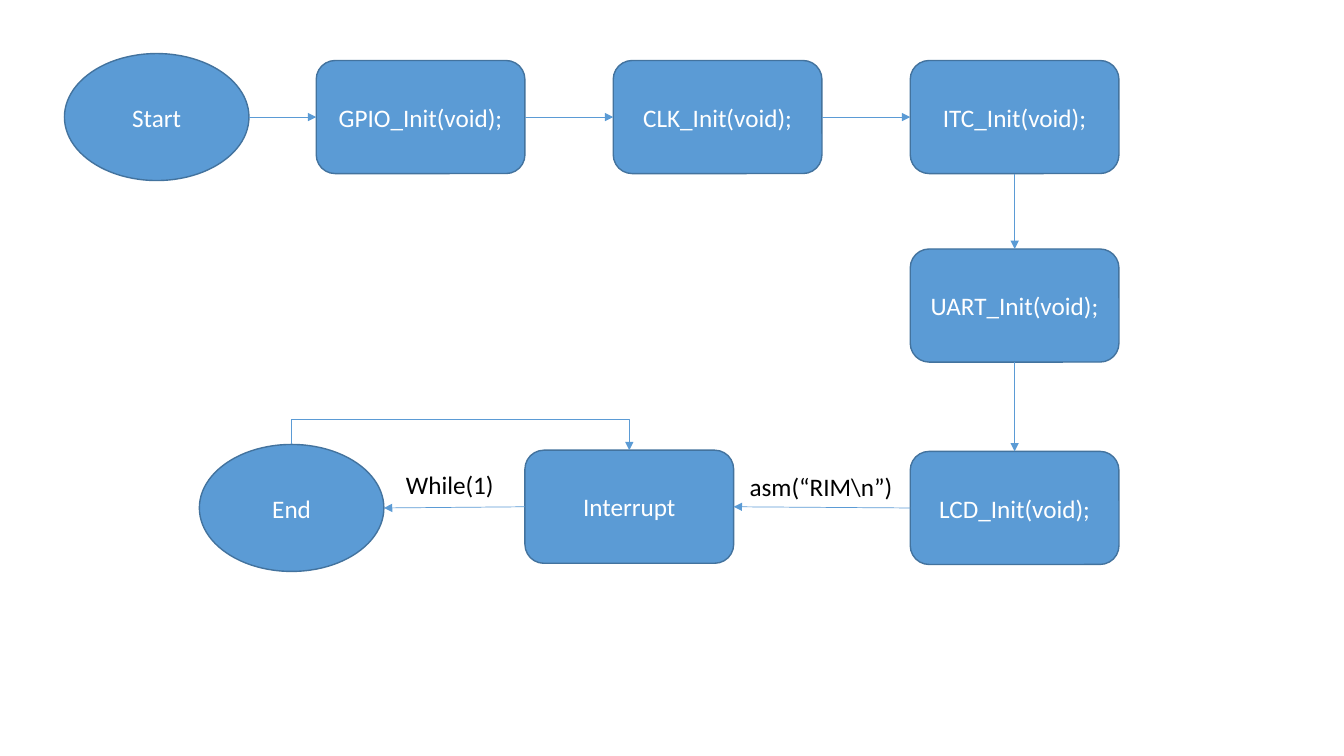
"""Build a slide with the flowchart of a microcontroller start-up sequence."""
from lxml.etree import SubElement
from pptx import Presentation
from pptx.dml.color import RGBColor
from pptx.enum.shapes import MSO_CONNECTOR as CONNECTOR, MSO_SHAPE as SHAPE
from pptx.enum.text import MSO_ANCHOR as ANCHOR, PP_ALIGN as ALIGN
from pptx.oxml.ns import qn
from pptx.util import Cm, Pt

BLUE = RGBColor(0x5B, 0x9B, 0xD5)
DARK_BLUE = RGBColor(0x43, 0x73, 0x9E)
WHITE = RGBColor(0xFF, 0xFF, 0xFF)
BLACK = RGBColor(0, 0, 0)

TOP_ROW, MIDDLE_ROW, BOTTOM_ROW = 2.95, 7.7, 12.8
FIRST_BOX, BOX_PITCH = 10.6, 7.485
LAST_BOX = FIRST_BOX + 2 * BOX_PITCH
SIZES = {SHAPE.OVAL: (4.65, 3.2), SHAPE.ROUNDED_RECTANGLE: (5.26, 2.85)}
SITES = {
    SHAPE.OVAL: {"top": 0, "left": 2, "bottom": 4, "right": 6},
    SHAPE.ROUNDED_RECTANGLE: {"top": 0, "left": 1, "bottom": 2, "right": 3},
}
SIDES = {"top": (0, -0.5), "left": (-0.5, 0), "bottom": (0, 0.5), "right": (0.5, 0)}

STEPS = {
    "Start": (SHAPE.OVAL, 3.95, TOP_ROW),
    "GPIO_Init(void);": (SHAPE.ROUNDED_RECTANGLE, FIRST_BOX, TOP_ROW),
    "CLK_Init(void);": (SHAPE.ROUNDED_RECTANGLE, FIRST_BOX + BOX_PITCH, TOP_ROW),
    "ITC_Init(void);": (SHAPE.ROUNDED_RECTANGLE, LAST_BOX, TOP_ROW),
    "UART_Init(void);": (SHAPE.ROUNDED_RECTANGLE, LAST_BOX, MIDDLE_ROW),
    "LCD_Init(void);": (SHAPE.ROUNDED_RECTANGLE, LAST_BOX, BOTTOM_ROW),
    "Interrupt": (SHAPE.ROUNDED_RECTANGLE, 15.86, 12.77),
    "End": (SHAPE.OVAL, 7.35, BOTTOM_ROW),
}
DIRECTIONS = [("right", "left")] * 3 + [("bottom", "top")] * 2 + [("left", "right")] * 2
LOOP_RISE = 0.64
LABELS = [("asm(“RIM\\n”)", 18.64, 11.76, 4.93), ("While(1)", 9.98, 11.71, 2.92)]


def write(shape, text, color, alignment):
    """Put one formatted line of text into a shape."""
    paragraph = shape.text_frame.paragraphs[0]
    paragraph.alignment = alignment
    run = paragraph.add_run()
    run.text = text
    for name, value in {"name": "Calibri", "size": Pt(18)}.items():
        setattr(run.font, name, value)
    run.font.color.rgb = color


def add_step(slide, text):
    """Draw one step of the flow around its centre."""
    kind, center_x, center_y = STEPS[text]
    width, height = SIZES[kind]
    shape = slide.shapes.add_shape(
        kind, Cm(center_x - width / 2), Cm(center_y - height / 2), Cm(width), Cm(height))
    shape.shadow.inherit = False
    shape.fill.solid()
    shape.fill.fore_color.rgb = BLUE
    shape.line.color.rgb = DARK_BLUE
    shape.line.width = Pt(1)
    shape.text_frame.vertical_anchor = ANCHOR.MIDDLE
    shape.text_frame.word_wrap = True
    write(shape, text, WHITE, ALIGN.CENTER)
    return shape


def side_point(text, side):
    """Return the middle of one side of a step in centimetres."""
    kind, center_x, center_y = STEPS[text]
    width, height = SIZES[kind]
    across, down = SIDES[side]
    return center_x + across * width, center_y + down * height


def add_arrow(slide, shapes, source, target, sides, kind=CONNECTOR.STRAIGHT):
    """Join two steps with an attached arrow."""
    points = [side_point(text, side) for text, side in zip((source, target), sides)]
    arrow = slide.shapes.add_connector(kind, *(Cm(value) for point in points for value in point))
    arrow.line.color.rgb = BLUE
    arrow.line.width = Pt(0.5)
    SubElement(arrow.line._get_or_add_ln(), qn("a:tailEnd"), type="triangle")
    SubElement(arrow._element.spPr, qn("a:effectLst"))
    links = arrow._element.find(f".//{qn('p:cNvCxnSpPr')}")
    for tag, text, side in zip(("a:stCxn", "a:endCxn"), (source, target), sides):
        site = SITES[STEPS[text][0]][side]
        SubElement(links, qn(tag), id=str(shapes[text].shape_id), idx=str(site))
    return arrow


def add_loop(slide, shapes):
    """Lead the arrow from the end back over the top to the interrupt."""
    arrow = add_arrow(slide, shapes, "End", "Interrupt", ("top", "top"), CONNECTOR.ELBOW)
    run, drop = arrow.width, arrow.height
    center_x, center_y = arrow.left + run // 2, arrow.top + drop // 2
    geometry = {"left": center_x - drop // 2, "top": center_y - run // 2,
                "width": drop, "height": run}
    for name, value in geometry.items():
        setattr(arrow, name, value)
    transform = arrow._element.spPr.find(qn("a:xfrm"))
    transform.set("rot", str(270 * 60000))
    transform.set("flipH", "1")
    bend = round(-Cm(LOOP_RISE) / drop * 100000)
    adjustments = arrow._element.find(f".//{qn('a:avLst')}")
    SubElement(adjustments, qn("a:gd"), name="adj1", fmla=f"val {bend}")


def main():
    """Create the slide and save the file."""
    presentation = Presentation()
    presentation.slide_width, presentation.slide_height = Cm(33.87), Cm(19.05)
    slide = presentation.slides.add_slide(presentation.slide_layouts[6])
    shapes = {text: add_step(slide, text) for text in STEPS}
    names = list(STEPS)
    for source, target, sides in zip(names, names[1:], DIRECTIONS):
        add_arrow(slide, shapes, source, target, sides)
    add_loop(slide, shapes)
    for text, left, top, width in LABELS:
        label = slide.shapes.add_textbox(Cm(left), Cm(top), Cm(width), Cm(1.03))
        label.text_frame.word_wrap = True
        write(label, text, BLACK, ALIGN.LEFT)
    presentation.save("out.pptx")


if __name__ == "__main__":
    main()
